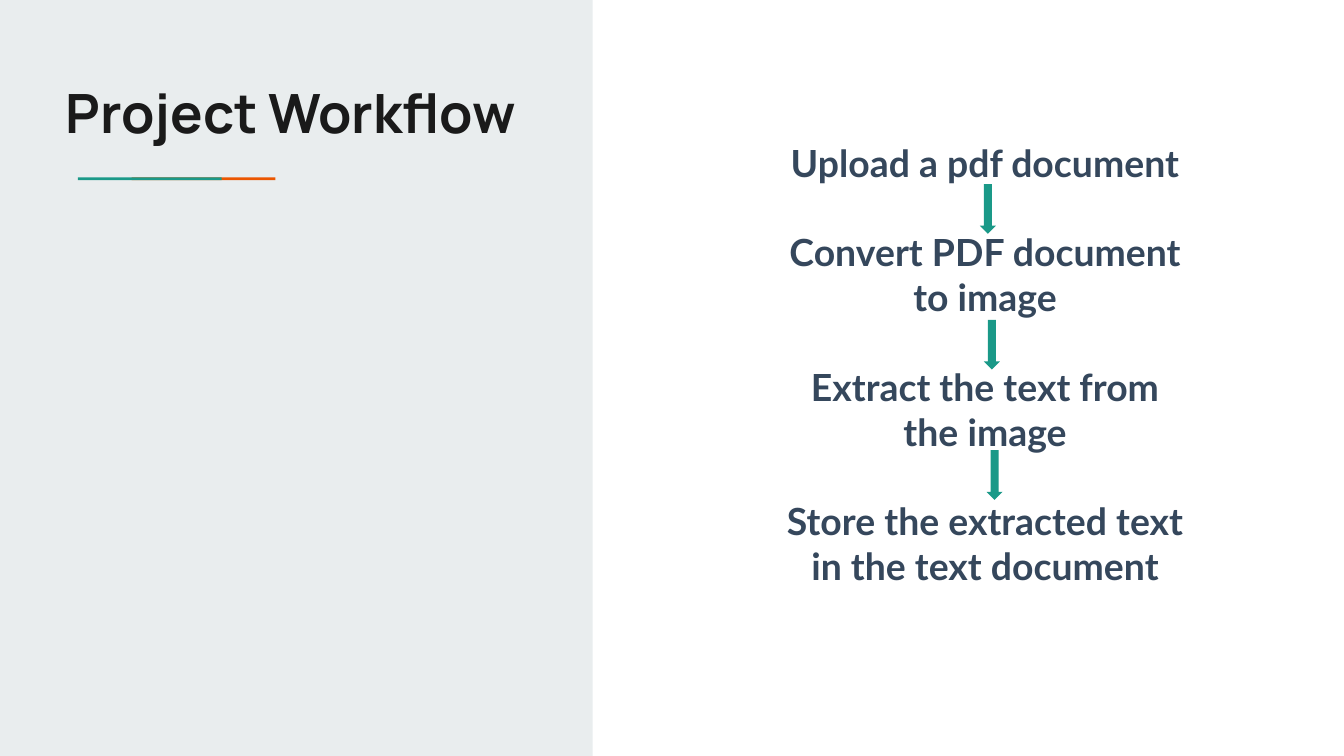
import pptx
import pptx.dml.color
import pptx.enum.shapes
import pptx.enum.text
import pptx.oxml
import pptx.util

Inches = pptx.util.Inches
SHAPES = pptx.enum.shapes.MSO_SHAPE
TEAL, ORANGE, GREY, WHITE = "1A9988", "EB5600", "E9EDEE", "FFFFFF"
TITLE_FONT = {"name": "Manrope", "size": pptx.util.Pt(29), "bold": True}
STEP_FONT = {"name": "Lato", "size": pptx.util.Pt(20), "bold": True}
STEPS = [
    "Upload a pdf document",
    "Convert PDF document to image",
    "Extract the text from the image",
    "Store the extracted text in the text document",
]
ARROWS = [(1.56, 0.43), (1.59, 1.44), (1.61, 2.41)]


def colour(target, value):
    target.rgb = pptx.dml.color.RGBColor.from_string(value)


def place(item, left, top, width, height):
    item.left, item.top = Inches(left), Inches(top)
    item.width, item.height = Inches(width), Inches(height)


def add_filled(page, kind, left, top, width, height, fill):
    item = page.shapes.add_shape(
        kind, Inches(left), Inches(top), Inches(width), Inches(height)
    )
    item.shadow.inherit = False
    item.fill.solid()
    colour(item.fill.fore_color, fill)
    item.line.fill.background()
    return item


def write_lines(holder, lines, font_values, font_colour, gap=0):
    frame = holder.text_frame
    frame_values = {
        "word_wrap": True,
        "auto_size": pptx.enum.text.MSO_AUTO_SIZE.NONE,
        "vertical_anchor": pptx.enum.text.MSO_ANCHOR.TOP,
    }
    for side in ("left", "top", "right", "bottom"):
        frame_values["margin_" + side] = Inches(0.1)
    for name, value in frame_values.items():
        setattr(frame, name, value)
    frame.text = "\n".join(lines)
    for index, para in enumerate(frame.paragraphs):
        properties = para._p.get_or_add_pPr()
        properties.set("marL", "0")
        properties.set("indent", "0")
        para.alignment = pptx.enum.text.PP_ALIGN.CENTER
        para.space_before = pptx.util.Pt(gap if index else 0)
        properties.append(
            pptx.oxml.parse_xml(
                '<a:buNone xmlns:a="http://schemas.openxmlformats.org/'
                'drawingml/2006/main"/>'
            )
        )
        for span in para.runs:
            for name, value in font_values.items():
                setattr(span.font, name, value)
            colour(span.font.color, font_colour)


def build_title_panel(page, left, top, width, height):
    edge = 0.59
    panel = add_filled(page, SHAPES.RECTANGLE, left, top, width, height, GREY)
    panel.element.getparent().insert(2, panel.element)
    add_filled(
        page, SHAPES.RECTANGLE, left + width - edge, top, edge, height, WHITE
    )
    title = page.shapes.title
    place(title, left + 0.08, top + 0.49, 4.17, 1.27)
    write_lines(title, ["Project Workflow"], TITLE_FONT, "1A1A1A")
    for offset, fill in ((0.98, ORANGE), (0.58, TEAL)):
        add_filled(
            page, SHAPES.RECTANGLE, left + offset, top + 1.32, 1.07, 0.02, fill
        )


def build_workflow(page, left, top, width, height):
    steps = page.placeholders[1]
    place(steps, left, top, width, height)
    write_lines(steps, STEPS, STEP_FONT, "35475C", gap=24)
    for across, down in ARROWS:
        add_filled(
            page, SHAPES.DOWN_ARROW, left + across, top + down, 0.12, 0.37, TEAL
        )


def main():
    deck = pptx.Presentation()
    page_width = 10
    page_height = page_width * 9 / 16
    deck.slide_width, deck.slide_height = Inches(page_width), Inches(page_height)
    page = deck.slides.add_slide(deck.slide_layouts[1])
    build_title_panel(page, 0, 0, 5, page_height)
    build_workflow(page, 5.73, 0.94, 3.2, 3.53)
    deck.save("out.pptx")


if __name__ == "__main__":
    main()
